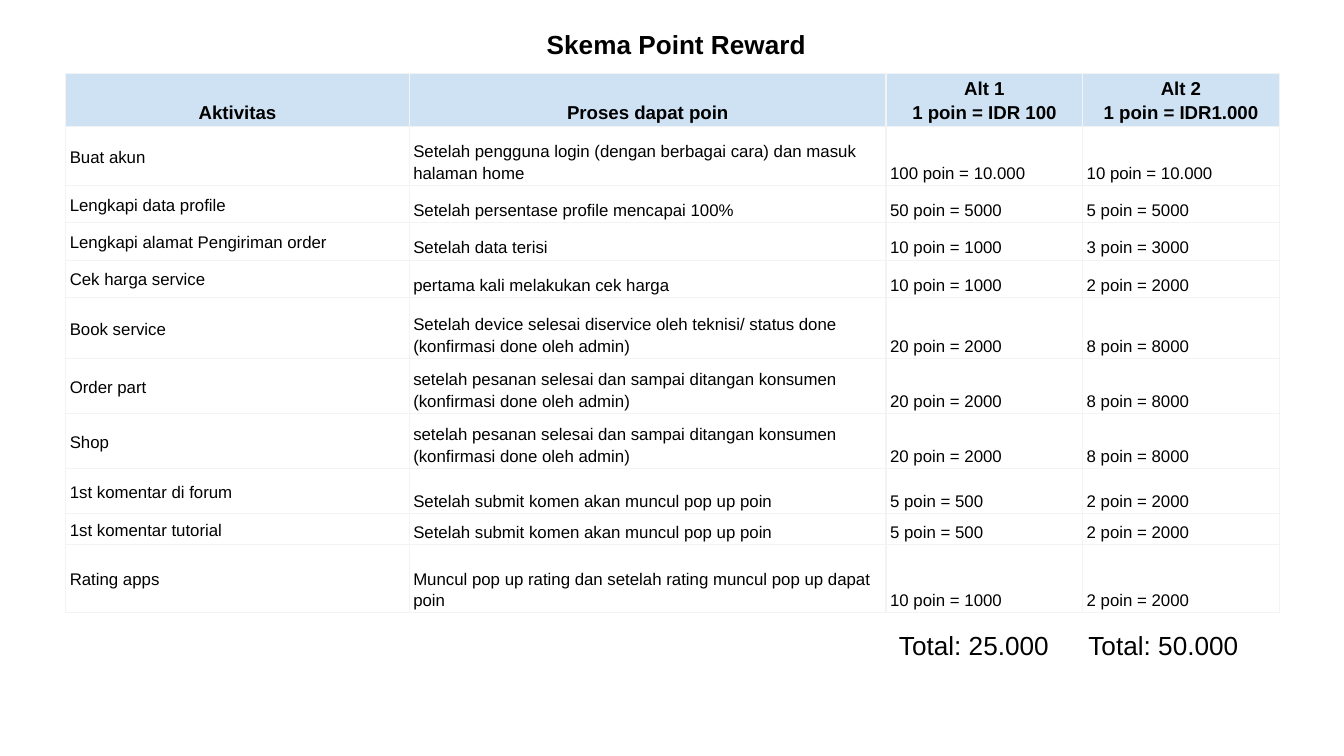
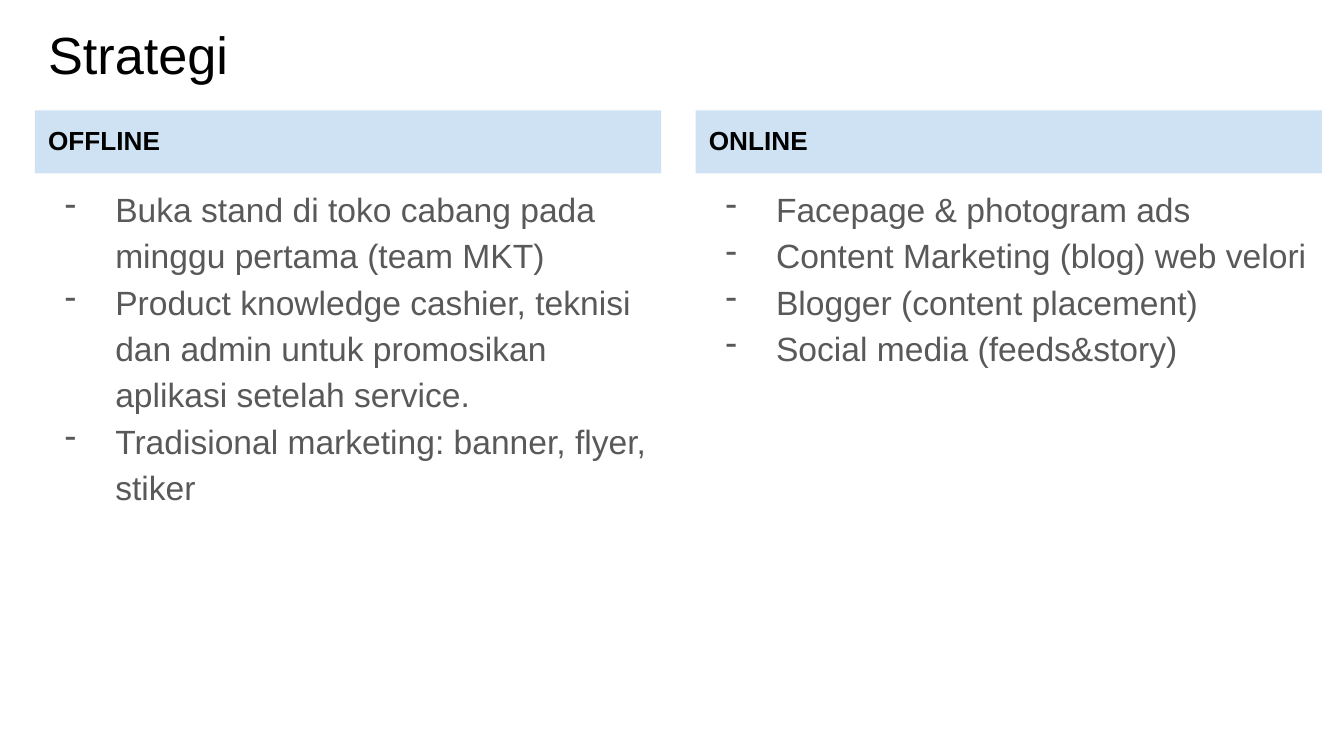
from dataclasses import dataclass
from lxml import etree
from pptx import Presentation
from pptx.dml.color import RGBColor
from pptx.enum.shapes import MSO_SHAPE
from pptx.enum.text import MSO_ANCHOR, PP_ALIGN
from pptx.oxml.ns import qn
from pptx.util import Pt

RECT = MSO_SHAPE.RECTANGLE
TOP, MIDDLE, BOTTOM = MSO_ANCHOR.TOP, MSO_ANCHOR.MIDDLE, MSO_ANCHOR.BOTTOM
LEFT, CENTER = PP_ALIGN.LEFT, PP_ALIGN.CENTER


@dataclass(frozen=True)
class Theme:
    font: str = "Arial"
    ink: str = "000000"
    body: str = "595959"
    band: str = "CFE2F3"
    rule: str = "F3F3F3"
    title_size: float = 28
    body_size: float = 18
    label_size: float = 14
    head_size: float = 10
    cell_size: float = 9
    inset: float = 7.2
    spacing: float = 1.15


T = Theme()


def write(tf, lines, size, color=T.ink, bold=False, align=LEFT, spacing=None):
    """Fill a text frame, one paragraph per line."""
    tf.word_wrap = True
    for i, line in enumerate(lines):
        p = tf.add_paragraph() if i else tf.paragraphs[0]
        p.text = line
        p.alignment = align
        if spacing:
            p.line_spacing = spacing
        p.font.name = T.font
        p.font.size = Pt(size)
        p.font.bold = bold
        p.font.color.rgb = RGBColor.from_string(color)


def add_box(s, box, lines, size, fill=None, **style):
    """Add a text box, or a filled band, with the shared insets."""
    box = [Pt(v) for v in box]
    if fill:
        sp = s.shapes.add_shape(RECT, *box)
        sp.shadow.inherit = False
        sp.fill.solid()
        sp.fill.fore_color.rgb = RGBColor.from_string(fill)
        sp.line.fill.background()
    else:
        sp = s.shapes.add_textbox(*box)
    tf = sp.text_frame
    tf.vertical_anchor = TOP
    tf.margin_left = tf.margin_right = Pt(T.inset)
    tf.margin_top = tf.margin_bottom = Pt(T.inset)
    write(tf, lines, size, **style)
    return tf


prs = Presentation()
prs.slide_width, prs.slide_height = Pt(720), Pt(405)
blank = prs.slide_layouts[6]

# Slide 1: reward points
s = prs.slides.add_slide(blank)
ORDER_DONE = "setelah pesanan selesai dan sampai ditangan konsumen (konfirmasi done oleh admin)"
COMMENT_DONE = "Setelah submit komen akan muncul pop up poin"
rows = [
    ("Aktivitas", "Proses dapat poin", "Alt 1\n1 poin = IDR 100", "Alt 2\n1 poin = IDR1.000"),
    ("Buat akun", "Setelah pengguna login (dengan berbagai cara) dan masuk halaman home",
     "100 poin = 10.000", "10 poin = 10.000"),
    ("Lengkapi data profile", "Setelah persentase profile mencapai 100%",
     "50 poin = 5000", "5 poin = 5000"),
    ("Lengkapi alamat Pengiriman order", "Setelah data terisi",
     "10 poin = 1000", "3 poin = 3000"),
    ("Cek harga service", "pertama kali melakukan cek harga",
     "10 poin = 1000", "2 poin = 2000"),
    ("Book service",
     "Setelah device selesai diservice oleh teknisi/ status done (konfirmasi done oleh admin)",
     "20 poin = 2000", "8 poin = 8000"),
    ("Order part", ORDER_DONE, "20 poin = 2000", "8 poin = 8000"),
    ("Shop", ORDER_DONE, "20 poin = 2000", "8 poin = 8000"),
    ("1st komentar di forum", COMMENT_DONE, "5 poin = 500", "2 poin = 2000"),
    ("1st komentar tutorial", COMMENT_DONE, "5 poin = 500", "2 poin = 2000"),
    ("Rating apps", "Muncul pop up rating dan setelah rating muncul pop up dapat poin",
     "10 poin = 1000", "2 poin = 2000"),
]
col_widths = [184, 255.5, 105.3, 105.3]
row_heights = [28.4, 31.7, 20, 20, 20, 32.7, 29.5, 29.5, 24, 16.7, 36.7]

table = s.shapes.add_table(len(rows), len(col_widths), Pt(35.2), Pt(39.2),
                           Pt(sum(col_widths)), Pt(sum(row_heights))).table
for column, width in zip(table.columns, col_widths):
    column.width = Pt(width)
for r, (row, height) in enumerate(zip(rows, row_heights)):
    table.rows[r].height = Pt(height)
    head = r == 0
    for c, text in enumerate(row):
        cell = table.cell(r, c)
        cell.margin_left = cell.margin_right = Pt(2.2)
        cell.margin_top = cell.margin_bottom = Pt(1.4)
        cell.vertical_anchor = MIDDLE if c == 0 and not head else BOTTOM
        write(cell.text_frame, text.split("\n"), T.head_size if head else T.cell_size,
              bold=head, align=CENTER if head else LEFT, spacing=T.spacing)
        # Borders come before the fill in the cell properties
        tc_pr = cell._tc.get_or_add_tcPr()
        for side in ("a:lnL", "a:lnR", "a:lnT", "a:lnB"):
            ln = etree.SubElement(tc_pr, qn(side), w=str(Pt(0.75)))
            solid = etree.SubElement(ln, qn("a:solidFill"))
            etree.SubElement(solid, qn("a:srgbClr"), val=T.rule)
        if head:
            cell.fill.solid()
            cell.fill.fore_color.rgb = RGBColor.from_string(T.band)
        else:
            cell.fill.background()

# Title and totals
add_box(s, (285.8, 8, 157.7, 23), ["Skema Point Reward"], T.label_size, bold=True)
for x, total in ((474.5, "25.000"), (576, "50.000")):
    add_box(s, (x, 329.8, 101.5, 27.4), [f"Total: {total}"], T.label_size)

# Slide 2: strategy in two columns
s = prs.slides.add_slide(blank)
left, col_width, col_step = 18.7, 335.5, 354
add_box(s, (left, 5, 671, 45.4), ["Strategi"], T.title_size)
columns = [
    ("OFFLINE", ["Buka stand di toko cabang pada minggu pertama (team MKT)",
                 "Product knowledge cashier, teknisi dan admin untuk promosikan "
                 "aplikasi setelah service.",
                 "Tradisional marketing: banner, flyer, stiker"]),
    ("ONLINE", ["Facepage & photogram ads",
                "Content Marketing (blog) web velori",
                "Blogger (content placement)",
                "Social media (feeds&story)"]),
]
for i, (heading, items) in enumerate(columns):
    x = left + i * col_step
    tf = add_box(s, (x, 90.7, col_width, 269.3), items, T.body_size,
                 color=T.body, spacing=T.spacing)
    for p in tf.paragraphs:
        p_pr = p._p.get_or_add_pPr()
        p_pr.set("marL", str(Pt(36)))
        p_pr.set("indent", str(Pt(-27)))
        # Bullets go ahead of the default run properties
        bullet_color = etree.Element(qn("a:buClr"))
        etree.SubElement(bullet_color, qn("a:srgbClr"), val=T.body)
        bullet = etree.Element(qn("a:buChar"), char="-")
        run_defaults = p_pr.find(qn("a:defRPr"))
        run_defaults.addprevious(bullet_color)
        run_defaults.addprevious(bullet)
    add_box(s, (x, 59.2, col_width, 33.8), [heading], T.label_size,
            fill=T.band, bold=True)

prs.save("out.pptx")
